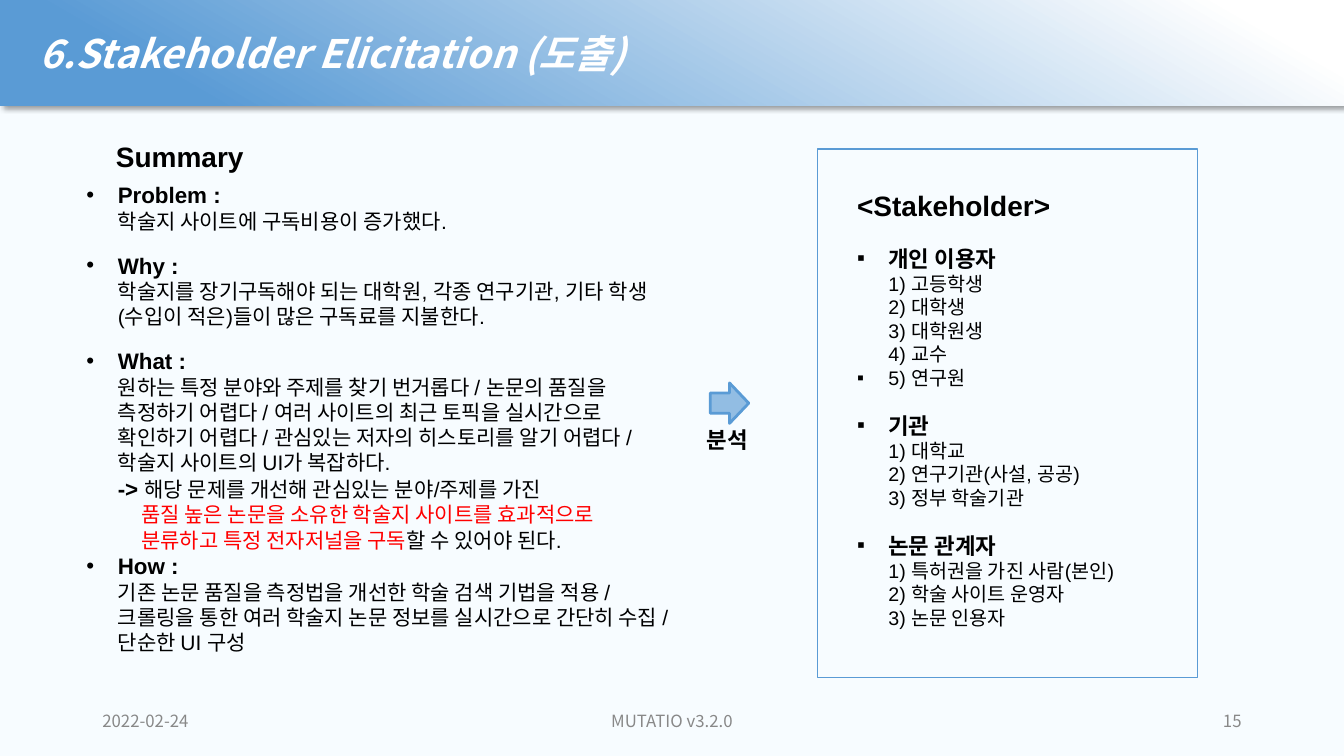
"""Builds the stakeholder elicitation slide: summary, analysis arrow and stakeholder list."""
import copy

import lxml.etree
import pptx
import pptx.dml.color
import pptx.enum.shapes
import pptx.enum.text
import pptx.oxml
import pptx.oxml.ns
import pptx.util

Cm = pptx.util.Cm
Pt = pptx.util.Pt
RGB = pptx.dml.color.RGBColor.from_string
Shape = pptx.enum.shapes.MSO_SHAPE
Align = pptx.enum.text.PP_ALIGN
Anchor = pptx.enum.text.MSO_ANCHOR
qn = pptx.oxml.ns.qn

COLORS = {"page": "F7FCFF", "blue": "5A9BD5", "light": "92BDE3", "white": "FFFFFF",
          "black": "000000", "red": "FF0000", "gray": "888888"}
KOREAN = "Noto Sans CJK KR"
FORMATS = {
    "title": {"size": Pt(28), "name": KOREAN, "bold": True, "italic": True, "color": "white"},
    "footer": {"size": Pt(12), "name": KOREAN, "bold": False, "color": "gray"},
    "heading": {"size": Pt(20), "name": "Arial", "bold": True, "color": "black"},
    "label": {"size": Pt(16), "name": "Arial", "bold": True, "color": "black"},
    "body": {"size": Pt(15), "name": "Arial", "bold": False, "color": "black"},
    "alert": {"size": Pt(15), "name": "Arial", "bold": False, "color": "red"},
    "item": {"size": Pt(14), "name": "Arial", "bold": False, "color": "black"},
}


def write(paragraph, runs):
    """Add (text, format) runs, turning newlines into line breaks."""
    for text, style in runs:
        for number, line in enumerate(text.split("\n")):
            if number:
                paragraph.add_line_break()
                paragraph._p[-1].append(copy.deepcopy(run._r.rPr))
            if not line:
                continue
            run = paragraph.add_run()
            run.text = line
            for key, value in FORMATS[style].items():
                if key == "color":
                    run.font.color.rgb = RGB(COLORS[value])
                else:
                    setattr(run.font, key, value)
            east_asian = lxml.etree.SubElement(run._r.rPr, qn("a:ea"))
            east_asian.set("typeface", KOREAN)


def indent(paragraph, bullet, left, gap):
    """Set the left margin, the optional hanging bullet and the space before."""
    properties = paragraph._p.get_or_add_pPr()
    properties.set("marL", str(Cm(left)))
    properties.set("indent", str(-Cm(left) if bullet else 0))
    if bullet:
        color = lxml.etree.SubElement(properties, qn("a:buClr"))
        lxml.etree.SubElement(color, qn("a:srgbClr")).set("val", COLORS["black"])
        lxml.etree.SubElement(properties, qn("a:buFont")).set("typeface", "Arial")
        lxml.etree.SubElement(properties, qn("a:buChar")).set("char", bullet)
    paragraph.space_before = Pt(gap)


deck = pptx.Presentation()
deck.slide_width, deck.slide_height = Cm(33.87), Cm(19.05)
slide = deck.slides.add_slide(deck.slide_layouts[6])
slide.background.fill.solid()
slide.background.fill.fore_color.rgb = RGB(COLORS["page"])

banner = slide.shapes.add_shape(Shape.RECTANGLE, 0, 0, Cm(33.87), Cm(2.65))
banner.line.fill.background()
banner._element.spPr.find(qn("a:xfrm")).set("flipH", "1")
stops = "".join(
    f'<a:gs pos="{position}000"><a:srgbClr val="{COLORS[color]}"/></a:gs>'
    for position, color in ((0, "white"), (8, "white"), (86, "blue"), (100, "blue")))
namespace = pptx.oxml.ns.nsdecls("a")
banner._element.spPr.find(qn("a:prstGeom")).addnext(pptx.oxml.parse_xml(
    f'<a:gradFill {namespace} rotWithShape="1"><a:gsLst>{stops}</a:gsLst>'
    '<a:lin ang="3600000" scaled="0"/></a:gradFill>'))
banner._element.spPr.append(pptx.oxml.parse_xml(
    f'<a:effectLst {namespace}><a:outerShdw blurRad="{Pt(4)}" dist="{Pt(3)}" dir="2700000" '
    f'algn="tl" rotWithShape="0"><a:srgbClr val="{COLORS["black"]}">'
    '<a:alpha val="40000"/></a:srgbClr></a:outerShdw></a:effectLst>'))
banner.text_frame.margin_left = Cm(1)
banner.text_frame.vertical_anchor = Anchor.MIDDLE
banner.text_frame.paragraphs[0].alignment = Align.LEFT
write(banner.text_frame.paragraphs[0], [("6.Stakeholder Elicitation (도출)", "title")])

CAPTIONS = [
    ("2022-02-24", "footer", Align.LEFT, Anchor.MIDDLE, (2.33, 17.66, 7.62, 1.01)),
    ("MUTATIO v3.2.0", "footer", Align.CENTER, Anchor.MIDDLE, (11.22, 17.66, 11.43, 1.01)),
    ("15", "footer", Align.RIGHT, Anchor.MIDDLE, (23.92, 17.66, 7.62, 1.01)),
    ("Summary", "heading", Align.LEFT, Anchor.TOP, (2.67, 3.4, 6.38, 1.12)),
    ("분석", "label", Align.CENTER, Anchor.TOP, (17.42, 10.62, 1.83, 0.94)),
]
for text, style, alignment, anchor, place in CAPTIONS:
    caption = slide.shapes.add_textbox(*map(Cm, place)).text_frame
    caption.word_wrap = True
    caption.vertical_anchor = anchor
    caption.paragraphs[0].alignment = alignment
    write(caption.paragraphs[0], [(text, style)])

summary = slide.shapes.add_textbox(Cm(1.93), Cm(4.45), Cm(15.39), Cm(12.22)).text_frame
stakeholder_panel = slide.shapes.add_shape(
    Shape.RECTANGLE, Cm(20.6), Cm(3.76), Cm(9.58), Cm(13.31))
stakeholder_panel.shadow.inherit = False
stakeholder_panel.fill.background()
stakeholder_panel.line.color.rgb = RGB(COLORS["blue"])
stakeholder_panel.line.width = Pt(1)
stakeholders = stakeholder_panel.text_frame
stakeholders.vertical_anchor = Anchor.TOP
for side in ("left", "top", "right", "bottom"):
    setattr(stakeholders, f"margin_{side}", Cm(1))

SUMMARY = [
    ("•", 0.79, 0, [("Problem :\n", "label"), ("학술지 사이트에 구독비용이 증가했다.", "body")]),
    ("•", 0.79, 13, [
        ("Why :\n", "label"),
        ("학술지를 장기구독해야 되는 대학원, 각종 연구기관, 기타 학생(수입이 적은)들이 "
         "많은 구독료를 지불한다.", "body")]),
    ("•", 0.79, 13, [
        ("What :\n", "label"),
        ("원하는 특정 분야와 주제를 찾기 번거롭다 / 논문의 품질을 측정하기 어렵다 / "
         "여러 사이트의 최근 토픽을 실시간으로 확인하기 어렵다 / 관심있는 저자의 "
         "히스토리를 알기 어렵다 / 학술지 사이트의 UI가 복잡하다.\n", "body"),
        ("-> ", "label"), ("해당 문제를 개선해 관심있는 분야/주제를 가진", "body")]),
    (None, 1.38, 0, [
        ("품질 높은 논문을 소유한 학술지 사이트를 효과적으로\n분류하고 특정 전자저널을 구독",
         "alert"),
        ("할 수 있어야 된다.", "body")]),
    ("•", 0.79, 0, [
        ("How :\n", "label"),
        ("기존 논문 품질을 측정법을 개선한 학술 검색 기법을 적용 / 크롤링을 통한 여러 "
         "학술지 논문 정보를 실시간으로 간단히 수집 / 단순한 UI 구성", "body")]),
]
STAKEHOLDERS = [
    (None, 0, 0, [("<Stakeholder>", "heading")]),
    ("▪", 0.79, 16, [("개인 이용자\n", "label"),
                     ("1) 고등학생\n2) 대학생\n3) 대학원생\n4) 교수", "item")]),
    ("▪", 0.79, 0, [("5) 연구원", "item")]),
    ("▪", 0.79, 16, [("기관\n", "label"),
                     ("1) 대학교\n2) 연구기관(사설, 공공)\n3) 정부 학술기관", "item")]),
    ("▪", 0.79, 16, [("논문 관계자\n", "label"),
                     ("1) 특허권을 가진 사람(본인)\n2) 학술 사이트 운영자\n3) 논문 인용자",
                      "item")]),
]
for frame, entries in ((summary, SUMMARY), (stakeholders, STAKEHOLDERS)):
    frame.word_wrap = True
    for number, (bullet, left, gap, runs) in enumerate(entries):
        entry = frame.add_paragraph() if number else frame.paragraphs[0]
        entry.alignment = Align.LEFT
        indent(entry, bullet, left, gap)
        write(entry, runs)

analysis_arrow = slide.shapes.add_shape(
    Shape.RIGHT_ARROW, Cm(17.9), Cm(9.65), Cm(0.97), Cm(1.02))
analysis_arrow.shadow.inherit = False
analysis_arrow.fill.solid()
analysis_arrow.fill.fore_color.rgb = RGB(COLORS["light"])
analysis_arrow.line.color.rgb = RGB(COLORS["blue"])
analysis_arrow.line.width = Pt(2)

deck.save("out.pptx")
